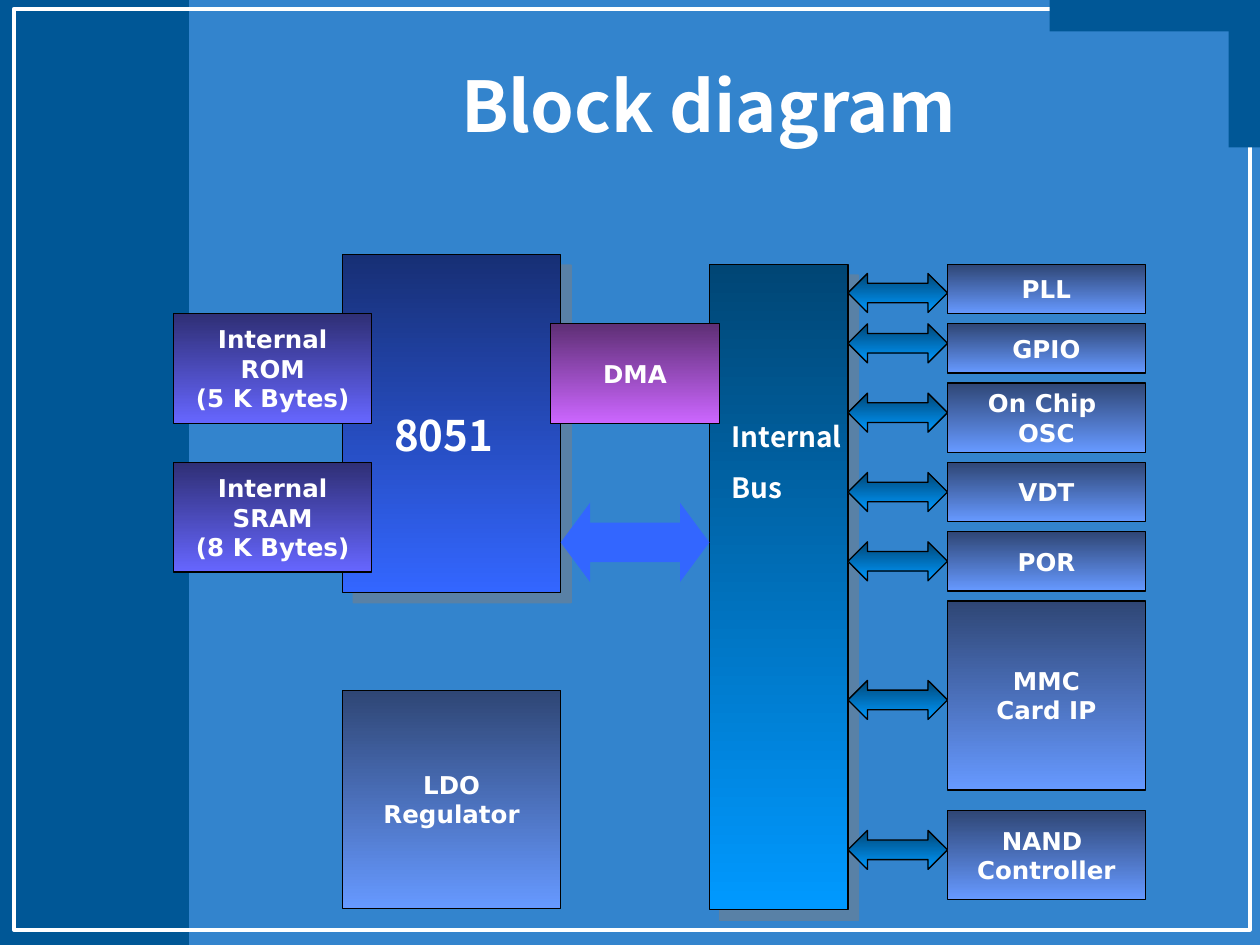
import pptx
import pptx.dml.color
import pptx.enum.shapes
import pptx.enum.text
import pptx.oxml
import pptx.oxml.ns
import pptx.util
from pptx.util import Inches

SHAPES = pptx.enum.shapes.MSO_SHAPE
ALIGN = pptx.enum.text.PP_ALIGN
ANCHOR = pptx.enum.text.MSO_ANCHOR

PANEL = "005796"
BUS_GRADIENT = ("004675", "0099FF")
CORE_GRADIENT = ("172F75", "3366FF")
MEMORY_GRADIENT = ("2F2F75", "6666FF")
DMA_GRADIENT = ("5E2F75", "CC66FF")
UNIT_GRADIENT = ("2F4675", "6699FF")

BLOCK_FONT = {"name": "DejaVu Sans", "size": pptx.util.Pt(14), "bold": True}
HEADING_FONT = {"name": "Noto Sans CJK KR", "bold": True}

# Label, top, height, offset of the bus arrow from the top
PERIPHERALS = [
    (["PLL"], 2.1, 0.39, 0.07),
    (["GPIO"], 2.57, 0.39, 0),
    (["On Chip ", "OSC"], 3.04, 0.55, 0.08),
    (["VDT"], 3.67, 0.47, 0.08),
    (["POR"], 4.22, 0.47, 0.08),
    (["MMC", "Card IP"], 4.77, 1.5, 0.63),
    (["NAND ", "Controller"], 6.43, 0.71, 0.16),
]


def color(value):
    return pptx.dml.color.RGBColor.from_string(value)


def add_shape(slide, kind, box, fill=None, line=None, width=0.75):
    """Add a shape; fill is a hex string, a pair for a gradient, or None."""
    shape = slide.shapes.add_shape(kind, *map(Inches, box))
    shape.shadow.inherit = False
    if fill is None:
        shape.fill.background()
    elif isinstance(fill, tuple):
        shape.fill.gradient()
        shape.fill.gradient_angle = 270
        for stop, value in zip(shape.fill.gradient_stops, fill):
            stop.color.rgb = color(value)
    else:
        shape.fill.solid()
        shape.fill.fore_color.rgb = color(fill)
    if line:
        shape.line.color.rgb = color(line)
        shape.line.width = pptx.util.Pt(width)
    else:
        shape.line.fill.background()
    return shape


def add_shadow(shape):
    effects = shape._element.spPr.find(pptx.oxml.ns.qn("a:effectLst"))
    effects.append(pptx.oxml.parse_xml(
        f'<a:outerShdw {pptx.oxml.ns.nsdecls("a")} blurRad="0" dist="107950" '
        'dir="2700000" algn="ctr" rotWithShape="0"><a:srgbClr val="808080">'
        '<a:alpha val="50000"/></a:srgbClr></a:outerShdw>'))


def write_lines(shape, lines, font, alignment, anchor, wrap, gap=0):
    frame = shape.text_frame
    frame.word_wrap = wrap
    frame.vertical_anchor = anchor
    for index, line in enumerate(lines):
        paragraph = frame.paragraphs[0] if index == 0 else frame.add_paragraph()
        paragraph.alignment = alignment
        if index:
            paragraph.space_before = pptx.util.Pt(gap)
        run = paragraph.add_run()
        run.text = line
        for name, value in font.items():
            setattr(run.font, name, value)
        run.font.color.rgb = color("FFFFFF")


def add_block(slide, box, lines, gradient):
    shape = add_shape(slide, SHAPES.RECTANGLE, box, gradient, "000000")
    write_lines(shape, lines, BLOCK_FONT, ALIGN.CENTER, ANCHOR.MIDDLE, False)


def add_heading(slide, box, lines, size, alignment=ALIGN.LEFT,
                anchor=ANCHOR.TOP):
    text_box = slide.shapes.add_textbox(*map(Inches, box))
    font = {**HEADING_FONT, "size": pptx.util.Pt(size)}
    write_lines(text_box, lines, font, alignment, anchor, True, gap=10)


def add_arrow(slide, box, fill, head, line=None):
    arrow = add_shape(slide, SHAPES.LEFT_RIGHT_ARROW, box, fill, line)
    arrow.adjustments[0] = 0.5
    arrow.adjustments[1] = head


def add_backdrop(slide, width, height):
    slide.background.fill.solid()
    slide.background.fill.fore_color.rgb = color("3384CD")
    add_shape(slide, SHAPES.RECTANGLE, (0, 0, 1.5, height), PANEL)
    add_shape(slide, SHAPES.RECTANGLE, (0.11, 0.07, 9.81, 7.31),
              line="FFFFFF", width=2.25)
    # Corner bracket
    add_shape(slide, SHAPES.RECTANGLE, (width - 1.67, 0, 1.67, 0.25), PANEL)
    add_shape(slide, SHAPES.RECTANGLE, (width - 0.25, 0, 0.25, 1.17), PANEL)


def add_processor(slide, left, top, width, height):
    core = add_shape(slide, SHAPES.RECTANGLE, (left, top, width, height),
                     CORE_GRADIENT, "000000")
    add_shadow(core)
    add_heading(slide, (left + 0.31, top + 1.18, 1.34, 0.5), ["8051"], 24)
    # Memories overlap the left edge
    memories = [("ROM", "(5 K Bytes)"), ("SRAM", "(8 K Bytes)")]
    for index, (name, size) in enumerate(memories):
        box = (left - 1.34, top + 0.47 + 1.18 * index, 1.57, 0.87)
        add_block(slide, box, ["Internal", name, size], MEMORY_GRADIENT)


def add_bus(slide, left, top, width, height):
    bus = add_shape(slide, SHAPES.RECTANGLE, (left, top, width, height),
                    BUS_GRADIENT, "000000")
    add_shadow(bus)
    add_heading(slide, (left + 0.08, top + 1.18, 1.34, 0.77),
                ["Internal", "Bus"], 16)


def add_peripherals(slide, left, width, arrow_width):
    for lines, top, height, offset in PERIPHERALS:
        add_block(slide, (left, top, width, height), lines, UNIT_GRADIENT)
        box = (left - arrow_width, top + offset, arrow_width, 0.31)
        add_arrow(slide, box, BUS_GRADIENT, 0.5, "000000")


def main():
    presentation = pptx.Presentation()
    presentation.slide_width = Inches(10)
    presentation.slide_height = Inches(7.5)
    slide = presentation.slides.add_slide(presentation.slide_layouts[6])

    add_backdrop(slide, 10, 7.5)
    add_heading(slide, (1.5, 0.33, 8.25, 1), ["Block diagram"], 40,
                ALIGN.CENTER, ANCHOR.MIDDLE)
    add_bus(slide, 5.63, 2.1, 1.1, 5.12)
    add_processor(slide, 2.72, 2.02, 1.73, 2.68)
    # Links between processor and bus
    add_block(slide, (4.37, 2.57, 1.34, 0.79), ["DMA"], DMA_GRADIENT)
    add_arrow(slide, (4.45, 3.99, 1.18, 0.63), "3366FF", 0.37)
    add_peripherals(slide, 7.52, 1.57, 0.79)
    add_block(slide, (2.72, 5.48, 1.73, 1.73), ["LDO", "Regulator"],
              UNIT_GRADIENT)

    presentation.save("out.pptx")


if __name__ == "__main__":
    main()
